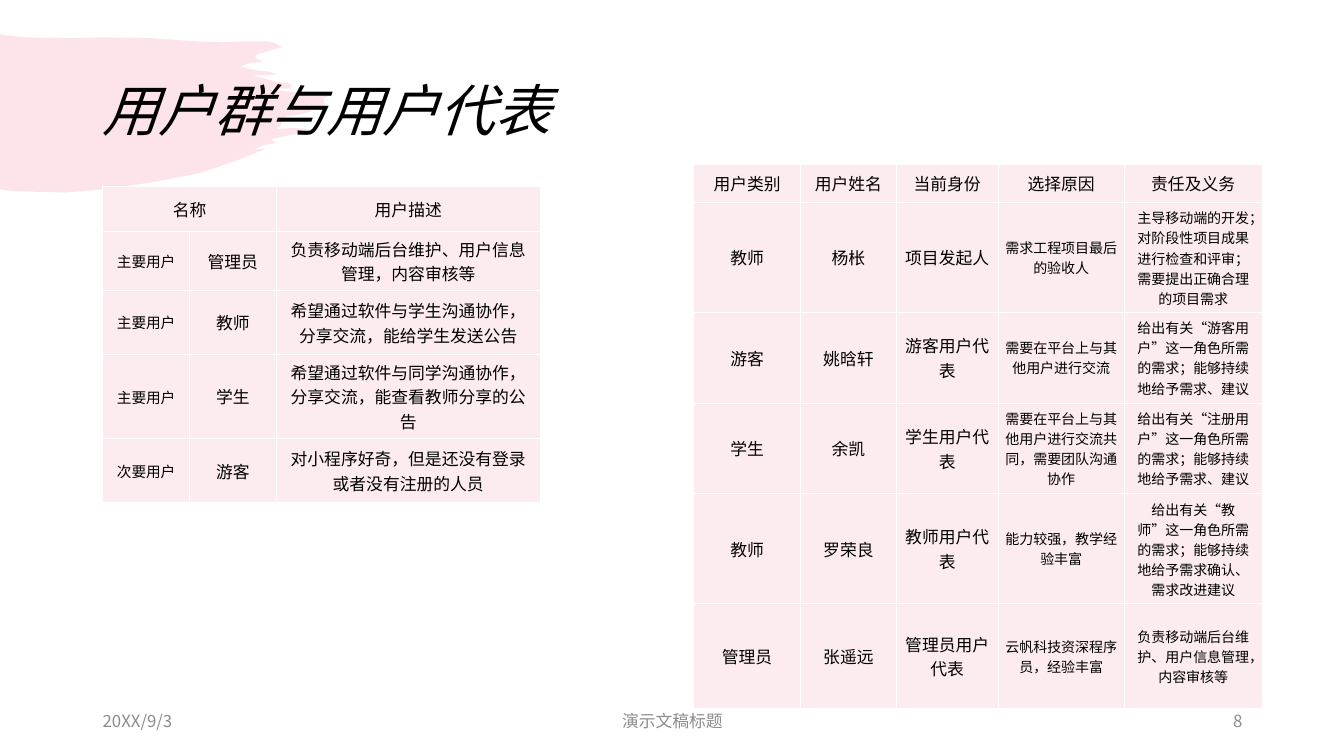
from dataclasses import dataclass

from lxml import etree
from pptx import Presentation
from pptx.dml.color import RGBColor
from pptx.enum.text import MSO_ANCHOR, PP_ALIGN
from pptx.oxml.ns import qn
from pptx.util import Pt

PX = 9144  # EMU per px, 100 px to the inch
LEFT, CENTER, RIGHT = PP_ALIGN.LEFT, PP_ALIGN.CENTER, PP_ALIGN.RIGHT
MIDDLE = MSO_ANCHOR.MIDDLE
TITLE_ONLY = 5


@dataclass(frozen=True)
class Theme:
    cjk: str = "Noto Sans CJK SC"
    body: str = "Quicksand"
    label: str = "Times New Roman"
    ink: str = "000000"
    muted: str = "8C8C8C"
    brush: str = "F07C98"
    brush_alpha: int = 20
    cell: str = "FCECEF"
    border: str = "FFFFFF"
    title_size: float = 40
    body_size: float = 12
    label_size: float = 10.5
    small_size: float = 10


THEME = Theme()

# Brush outline, in px from the top left of its box
BRUSH = [
    (0, 0), (6, 1), (25, 3), (66, 4), (102, 3), (151, 4), (194, 7), (221, 8),
    (248, 7), (264, 7), (273, 9), (280, 13), (271, 15), (255, 20), (253, 23),
    (256, 25), (262, 28), (250, 28), (238, 32), (246, 34), (256, 36), (266, 37),
    (275, 40), (251, 41), (263, 44), (273, 47), (280, 48), (288, 49), (290, 51),
    (287, 54), (284, 54), (263, 54), (296, 58), (330, 60), (321, 63), (322, 69),
    (318, 72), (311, 73), (307, 77), (300, 79), (283, 82), (280, 86), (278, 91),
    (274, 94), (291, 93), (308, 94), (289, 100), (269, 104), (273, 108),
    (262, 110), (252, 114), (263, 114), (233, 126), (197, 138), (150, 147),
    (102, 154), (65, 157), (23, 156), (7, 155), (0, 154),
]

USER_GROUPS = [
    ("名称", "", "用户描述"),
    ("主要用户", "管理员", "负责移动端后台维护、用户信息管理，内容审核等"),
    ("主要用户", "教师", "希望通过软件与学生沟通协作，分享交流，能给学生发送公告"),
    ("主要用户", "学生", "希望通过软件与同学沟通协作，分享交流，能查看教师分享的公告"),
    ("次要用户", "游客", "对小程序好奇，但是还没有登录或者没有注册的人员"),
]

REPRESENTATIVES = [
    ("用户类别", "用户姓名", "当前身份", "选择原因", "责任及义务"),
    ("教师", "杨枨", "项目发起人", "需求工程项目最后的验收人",
     "主导移动端的开发；对阶段性项目成果进行检查和评审；需要提出正确合理的项目需求"),
    ("游客", "姚晗轩", "游客用户代表", "需要在平台上与其他用户进行交流",
     "给出有关“游客用户”这一角色所需的需求；能够持续地给予需求、建议"),
    ("学生", "余凯", "学生用户代表", "需要在平台上与其他用户进行交流共同，需要团队沟通协作",
     "给出有关“注册用户”这一角色所需的需求；能够持续地给予需求、建议"),
    ("教师", "罗荣良", "教师用户代表", "能力较强，教学经验丰富",
     "给出有关“教师”这一角色所需的需求；能够持续地给予需求确认、需求改进建议"),
    ("管理员", "张遥远", "管理员用户代表", "云帆科技资深程序员，经验丰富",
     "负责移动端后台维护、用户信息管理，内容审核等"),
]

BODY = (THEME.body, THEME.body_size)
LABEL = (THEME.label, THEME.label_size)
SMALL = (THEME.body, THEME.small_size)


def write(frame, text, font_name, size, color, alignment):
    paragraph = frame.paragraphs[0]
    paragraph.text = text
    paragraph.alignment = alignment
    font = paragraph.font
    font.size = Pt(size)
    font.color.rgb = RGBColor.from_string(color)
    font.name = font_name
    properties = paragraph._p.find(f"{qn('a:pPr')}/{qn('a:defRPr')}")
    etree.SubElement(properties, qn("a:ea"), typeface=THEME.cjk)
    return paragraph


def add_brush(slide, left, top):
    builder = slide.shapes.build_freeform(*BRUSH[0], scale=PX)
    builder.add_line_segments(BRUSH[1:], close=True)
    brush = builder.convert_to_shape(left * PX, top * PX)
    brush.shadow.inherit = False
    brush.line.fill.background()
    brush.fill.solid()
    brush.fill.fore_color.rgb = RGBColor.from_string(THEME.brush)
    color = brush._element.spPr.find(f"{qn('a:solidFill')}/{qn('a:srgbClr')}")
    etree.SubElement(color, qn("a:alpha"), val=str(THEME.brush_alpha * 1000))
    slide.shapes._spTree.insert(2, brush._element)  # behind the title


def place_title(slide, text, left, top, width, height):
    title = slide.shapes.title
    title.left, title.top = left * PX, top * PX
    title.width, title.height = width * PX, height * PX
    title.text_frame.vertical_anchor = MIDDLE
    paragraph = write(title.text_frame, text, THEME.cjk, THEME.title_size, THEME.ink, LEFT)
    paragraph.line_spacing = 0.9
    paragraph.font.italic = True


def add_footer(slide, left, top, width, height):
    """Date at the left, deck title in the middle, slide number at the right."""
    side, middle = 300, 450
    parts = [
        ("20XX/9/3", left, side, LEFT),
        ("演示文稿标题", left + (width - middle) // 2, middle, CENTER),
        ("8", left + width - side, side, RIGHT),
    ]
    for text, part_left, part_width, alignment in parts:
        box = slide.shapes.add_textbox(part_left * PX, top * PX, part_width * PX, height * PX)
        box.text_frame.word_wrap = True
        box.text_frame.vertical_anchor = MIDDLE
        write(box.text_frame, text, THEME.cjk, THEME.body_size, THEME.muted, alignment)


def format_cell(cell):
    cell.vertical_anchor = MIDDLE
    cell.margin_left = cell.margin_right = 7 * PX
    cell.margin_top = cell.margin_bottom = 5 * PX
    cell.fill.solid()
    cell.fill.fore_color.rgb = RGBColor.from_string(THEME.cell)
    properties = cell._tc.get_or_add_tcPr()
    for index, side in enumerate(("lnL", "lnR", "lnT", "lnB")):
        border = etree.Element(qn(f"a:{side}"), w=str(Pt(1)))
        fill = etree.SubElement(border, qn("a:solidFill"))
        etree.SubElement(fill, qn("a:srgbClr"), val=THEME.border)
        properties.insert(index, border)


def add_user_table(slide, rows, left, top, widths, heights, column_styles):
    """column_styles holds font and size per column below the header row."""
    frame = slide.shapes.add_table(len(rows), len(widths), left * PX, top * PX,
                                   sum(widths) * PX, sum(heights) * PX)
    table = frame.table
    table.first_row = table.horz_banding = False
    for column, width in zip(table.columns, widths):
        column.width = width * PX
    for row, height in zip(table.rows, heights):
        row.height = height * PX
    for row_index, texts in enumerate(rows):
        for column_index, text in enumerate(texts):
            cell = table.cell(row_index, column_index)
            format_cell(cell)
            if text:
                style = column_styles[column_index] if row_index else BODY
                write(cell.text_frame, text, *style, THEME.ink, CENTER)
    return table


def build_users_slide(presentation):
    slide = presentation.slides.add_slide(presentation.slide_layouts[TITLE_ONLY])
    add_brush(slide, 0, 34)
    place_title(slide, "用户群与用户代表", 92, 40, 1150, 145)
    add_footer(slide, 92, 695, 1150, 40)
    add_user_table(slide, REPRESENTATIVES, 688, 163, [106, 95, 101, 125, 137],
                   [38, 109, 90, 90, 109, 104], [BODY, BODY, BODY, SMALL, SMALL])
    groups = add_user_table(slide, USER_GROUPS, 102, 185, [86, 86, 262],
                            [45, 58, 64, 83, 64], [LABEL, BODY, BODY])
    groups.cell(0, 0).merge(groups.cell(0, 1))


def main():
    presentation = Presentation()
    presentation.slide_width, presentation.slide_height = 1333 * PX, 750 * PX
    build_users_slide(presentation)
    presentation.save("out.pptx")


if __name__ == "__main__":
    main()
